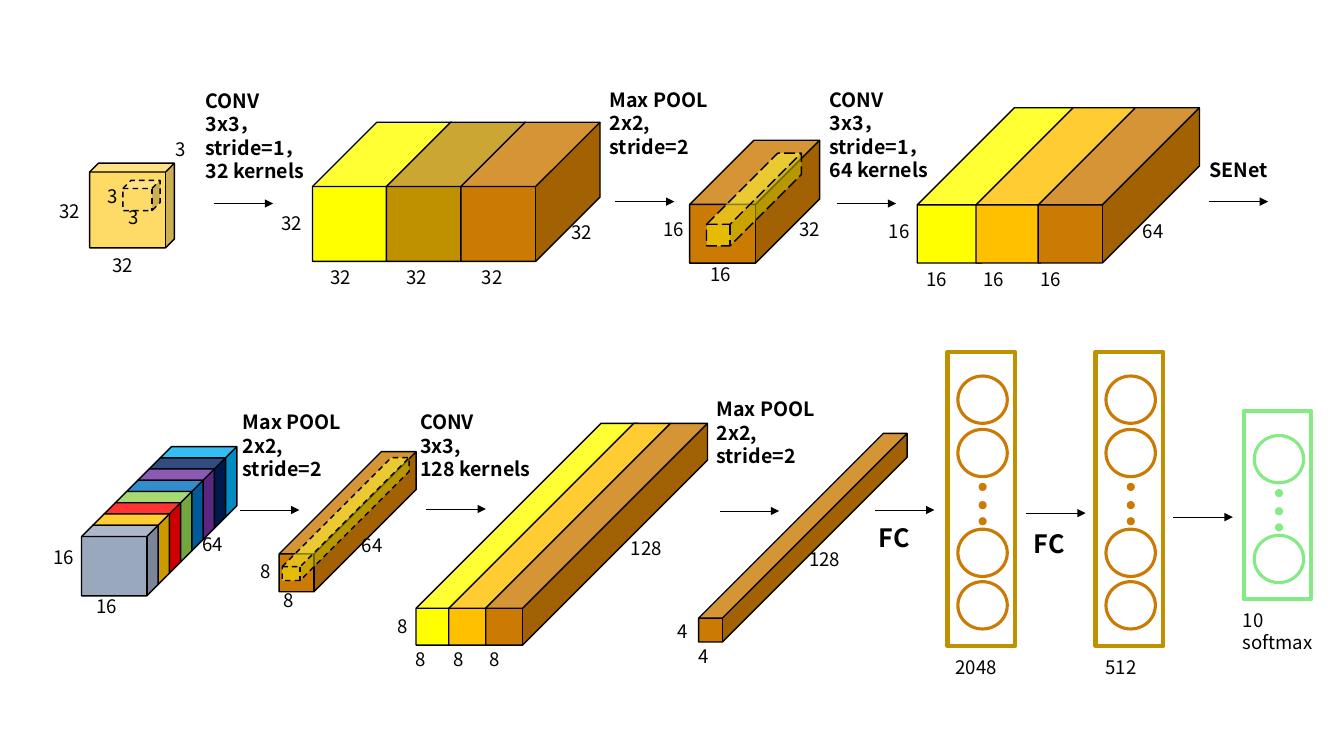
from lxml import etree
from pptx import Presentation
from pptx.dml.color import RGBColor
from pptx.enum.dml import MSO_LINE
from pptx.enum.shapes import MSO_CONNECTOR, MSO_SHAPE
from pptx.oxml.ns import qn
from pptx.util import Pt

CUBE, RECT, OVAL = MSO_SHAPE.CUBE, MSO_SHAPE.RECTANGLE, MSO_SHAPE.OVAL
STRAIGHT = MSO_CONNECTOR.STRAIGHT
DASH, LONG = MSO_LINE.DASH, MSO_LINE.LONG_DASH
FONT = "Noto Sans CJK SC"
HUES = {
    "black": "000000", "yellow": "FFFF00", "olive": "BF9000",
    "brown": "CB7A03", "amber": "FFC000", "cream": "FEDB67",
    "sky": "00B0F0", "navy": "002060", "purple": "7030A0",
    "blue": "0070C0", "lime": "92D050", "red": "FF0000",
    "grey": "99A8BD", "mint": "84EA84",
}
HUES = {name: RGBColor.from_string(code) for name, code in HUES.items()}
STYLES = {
    "dim": {"name": FONT, "size": Pt(13.3), "bold": False},
    "step": {"name": FONT, "size": Pt(14), "bold": True},
    "link": {"name": FONT, "size": Pt(18), "bold": True},
}

deck = Presentation()
deck.slide_width, deck.slide_height = Pt(960), Pt(540)
slide = deck.slides.add_slide(deck.slide_layouts[6])


def draw(host, kind, box, fill=None, line=None, width=1):
    shape = host.add_shape(kind, *[Pt(v) for v in box])
    shape.shadow.inherit = False
    if fill:
        shape.fill.solid()
        shape.fill.fore_color.rgb = HUES[fill]
    else:
        shape.fill.background()
    if line:
        shape.line.color.rgb = HUES[line]
        shape.line.width = Pt(width)
    else:
        shape.line.fill.background()
    return shape


def write(text, style, left, top, width, height):
    frame = slide.shapes.add_textbox(Pt(left), Pt(top), Pt(width), Pt(height)).text_frame
    frame.word_wrap = True
    for i, row in enumerate(text.split("\n")):
        para = frame.add_paragraph() if i else frame.paragraphs[0]
        run = para.add_run()
        run.text = row
        for key, val in STYLES[style].items():
            setattr(run.font, key, val)
        run.font.color.rgb = HUES["black"]


blocks = [
    ((64.1, 116.6, 60.5, 60.5), 0.104, [(0, "cream")]),
    ((223.2, 87.3, 99.4, 99.4), 0.462, [(0, "yellow"), (52.8, "olive"), (106, "brown")]),
    ((492.6, 100.2, 92.9, 87.8), 0.522, [(0, "brown")]),
    ((655.2, 77, 115.2, 110.9), 0.626, [(0, "yellow"), (42, "amber"), (86.4, "brown")]),
    ((199.4, 322.6, 97.9, 100.1), 0.746, [(0, "brown")]),
    ((297.2, 302.4, 158.4, 158.4), 0.834, [(0, "yellow"), (23.4, "amber"), (49.8, "brown")]),
    ((499, 309.6, 149, 149), 0.886, [(0, "brown")]),
]
for (left, top, width, height), depth, parts in blocks:
    for shift, hue in parts:
        cube = draw(slide.shapes, CUBE, (left + shift, top, width, height), hue, "black")
        cube.adjustments[0] = depth

layers = ["sky", "navy", "purple", "blue", "lime", "red", "amber", "grey"]
for i, hue in enumerate(layers):
    cube = draw(slide.shapes, CUBE, (114.5 - 8.03 * i, 319 + 8.03 * i, 54.7, 50.4), hue, "black")
    cube.adjustments[0] = 0.16

kernels = [
    ((87.8, 128.9, 26.6, 21.6), 0.269, "cream", DASH, 100),
    ((504.7, 109.4, 67.7, 66.2), 0.768, "yellow", LONG, 50),
    ((201.6, 326.9, 90.7, 87.8), 0.887, "yellow", DASH, 50),
]
for box, depth, hue, dash, alpha in kernels:
    cube = draw(slide.shapes, CUBE, box, hue, "black")
    cube.adjustments[0] = depth
    cube.line.dash_style = dash
    if alpha < 100:
        tint = cube.fill._xPr.find(qn("a:solidFill"))[0]
        etree.SubElement(tint, qn("a:alpha"), val=str(alpha * 1000))

arrows = [
    (152.6, 145.4), (439.2, 144), (597.6, 145.4), (863.3, 144), (171.4, 364.3),
    (304.6, 363.6), (514.1, 365), (625, 364.3), (733, 366.5), (838.1, 369.4),
]
for left, top in arrows:
    arrow = slide.shapes.add_connector(STRAIGHT, Pt(left), Pt(top), Pt(left + 42.5), Pt(top))
    arrow.line.color.rgb = HUES["black"]
    arrow.line.width = Pt(0.5)
    etree.SubElement(arrow.line._get_or_add_ln(), qn("a:tailEnd"), type="triangle")
    etree.SubElement(arrow._element.spPr, qn("a:effectLst"))

short = 38.1
panels = [
    (676.8, 251.3, 210.2, "olive", "brown", [17.3, 55.4, 126.7, 164.2], 0),
    (782.6, 251.3, 210.2, "olive", "brown", [17.3, 55.4, 126.7, 164.2], 0),
    (888.5, 293.8, 133.9, "mint", "mint", [17.3, 126.7 - short], short),
]
for left, top, height, edge, hue, rings, lift in panels:
    group = slide.shapes.add_group_shape().shapes
    draw(group, RECT, (left, top, 48.2, height), None, edge, 3)
    for drop in rings:
        draw(group, OVAL, (left + 7.4, top + drop, 35.3, 33.8), None, hue, 2.25)
    for drop in (93.6, 106.6, 118.1):
        draw(group, OVAL, (left + 22.2, top + drop - lift, 5.8, 5.8), hue)

dims = [
    ("32", 35.3, 139, 49.7), ("32", 73.4, 177.8, 49.7), ("3", 118.1, 95, 26.6),
    ("3", 69.8, 128.2, 26.6), ("3", 85, 143.3, 26.6),
    ("32", 193.7, 147.6, 49.7), ("32", 229, 186.5, 49.7), ("32", 283, 186.5, 49.7),
    ("32", 337, 186.5, 49.7), ("32", 401, 154.1, 49.7),
    ("16", 466.6, 151.9, 49.7), ("16", 500.4, 184.3, 49.7), ("32", 563.8, 151.9, 34.6),
    ("16", 627.8, 153.4, 39.6), ("16", 654.5, 187.9, 39.6), ("16", 695.5, 187.9, 39.6),
    ("16", 735.8, 187.9, 39.6), ("64", 809.3, 153.4, 34.6),
    ("16", 31, 386.6, 39.6), ("16", 61.9, 421.2, 39.6), ("64", 137.5, 377.3, 34.6),
    ("8", 179.3, 396.7, 22.3), ("8", 195.1, 416.9, 22.3), ("64", 251.3, 378, 49.7),
    ("8", 276.5, 435.6, 22.3), ("8", 289.4, 459.4, 22.3), ("8", 316.8, 459.4, 22.3),
    ("8", 342.7, 459.4, 22.3), ("128", 443.5, 380.2, 49.7),
    ("4", 476.6, 439.2, 22.3), ("4", 491.8, 457.2, 22.3), ("128", 571, 388.1, 49.7),
    ("2048", 675.4, 465.1, 49.7), ("512", 782.6, 465.1, 49.7),
]
for text, left, top, width in dims:
    write(text, "dim", left, top, width, 23.8)
write("10\nsoftmax", "dim", 880.6, 431.3, 83.5, 39.6)

pool = "Max POOL\n2x2,\nstride=2"
steps = [
    ("CONV\n3x3，\nstride=1，\n32 kernels", 139.7, 59.8, 89.3, 74.9),
    (pool, 428.4, 59, 103.7, 74.9),
    ("CONV\n3x3，\nstride=1，\n64 kernels", 585.4, 59, 89.3, 74.9),
    ("SENet", 856.8, 109.4, 89.3, 24.5),
    (pool, 166.3, 289.4, 103.7, 74.9),
    ("CONV\n3x3,\n128 kernels", 293, 289.4, 103.7, 58.3),
    (pool, 504.7, 280.1, 103.7, 74.9),
]
for text, *box in steps:
    write(text, "step", *box)
for left, top in ((620.6, 369.4), (731.5, 373.7)):
    write("FC", "link", left, top, 45.4, 28.8)

deck.save("out.pptx")
